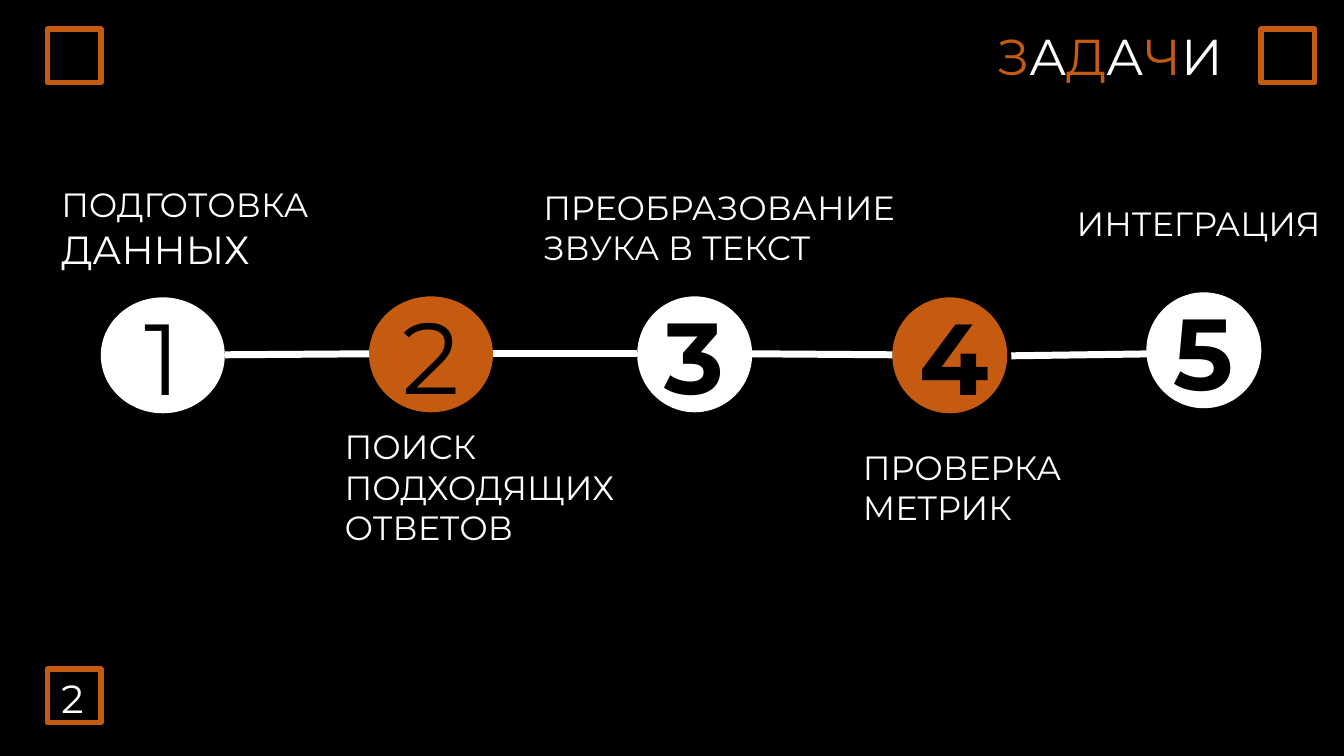
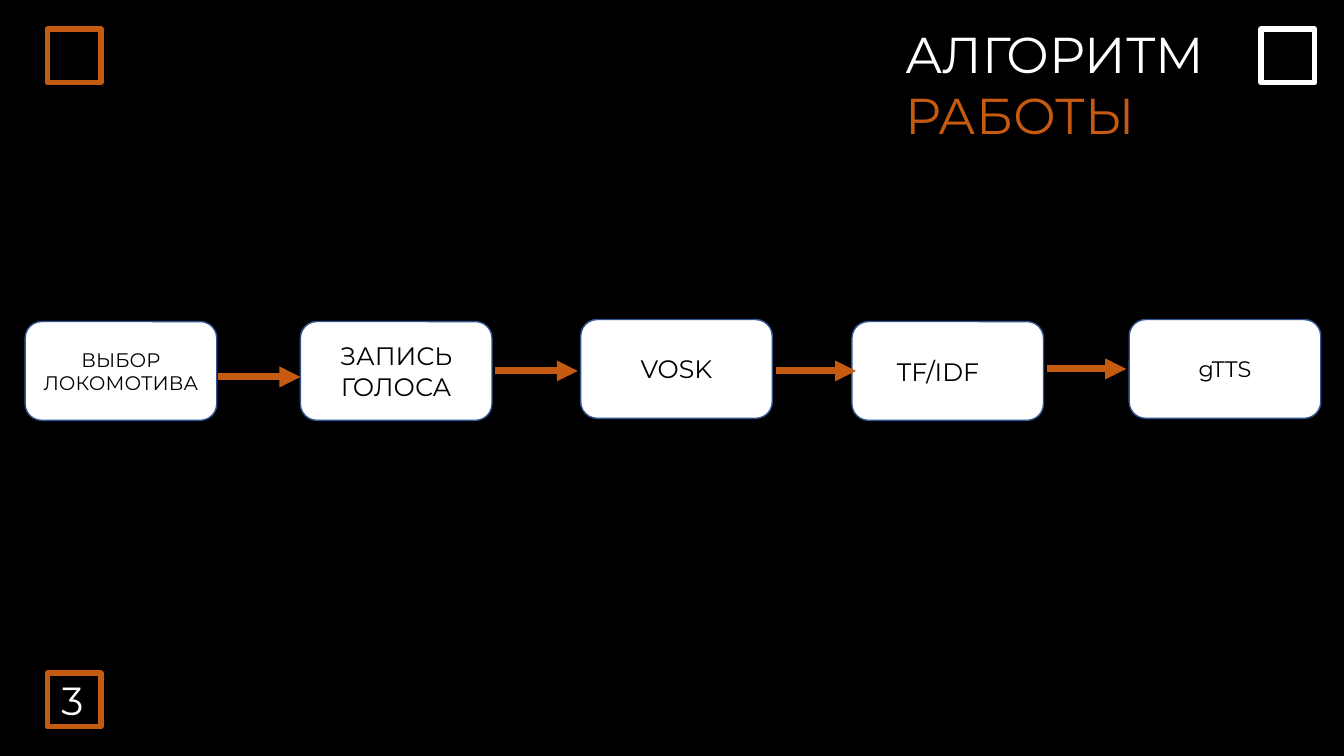
from pptx import Presentation
from pptx.dml.color import RGBColor
from pptx.enum.shapes import MSO_CONNECTOR, MSO_SHAPE
from pptx.enum.text import MSO_ANCHOR, MSO_AUTO_SIZE, PP_ALIGN
from pptx.oxml.ns import qn
from pptx.util import Pt
from lxml import etree

PX = 9144  # 100 px to the inch
SLIDE_WIDTH, SLIDE_HEIGHT = 1333, 750
TITLE_ONLY = 5

FONT = "Montserrat"
BLACK = RGBColor(0x00, 0x00, 0x00)
WHITE = RGBColor(0xFF, 0xFF, 0xFF)
ORANGE = RGBColor(0xC5, 0x5A, 0x11)
NAVY = RGBColor(0x32, 0x54, 0x91)

STRAIGHT = MSO_CONNECTOR.STRAIGHT
RECTANGLE = MSO_SHAPE.RECTANGLE
ROUNDED = MSO_SHAPE.ROUNDED_RECTANGLE
OVAL = MSO_SHAPE.OVAL
TOP, MIDDLE = MSO_ANCHOR.TOP, MSO_ANCHOR.MIDDLE
LEFT, CENTER = PP_ALIGN.LEFT, PP_ALIGN.CENTER
NO_AUTOFIT = MSO_AUTO_SIZE.NONE

# Tasks: number, circle (left, top, width), bold
CIRCLE_HEIGHT = 115
TASK_CIRCLES = [
    ("1", (100, 295, 123), False),
    ("2", (366, 294, 123), False),
    ("3", (632, 294, 114), True),
    ("4", (885, 295, 114), True),
    ("5", (1137, 290, 114), True),
]
TASK_LINKS = [
    (223, 352, 366, 351),
    (489, 351, 632, 351),
    (746, 351, 885, 352),
    (1003, 353, 1146, 351),
]
# Task labels: box, runs of (text, size)
TASK_LABELS = [
    ((51, 172, 336, 104), [("ПОДГОТОВКА", 24), (" ДАННЫХ", 28)]),
    ((332, 418, 300, 131), [("ПОИСК ПОДХОДЯЩИХ ОТВЕТОВ", 24)]),
    ((529, 180, 386, 91), [("ПРЕОБРАЗОВАНИЕ ЗВУКА В ТЕКСТ", 24)]),
    ((846, 438, 229, 91), [("ПРОВЕРКА МЕТРИК", 24)]),
    ((1058, 196, 272, 50), [("ИНТЕГРАЦИЯ", 24)]),
]

# Algorithm: lines, left, top, size, right inset
STAGE_WIDTH, STAGE_HEIGHT = 190, 98
STAGES = [
    (["ВЫБОР", "ЛОКОМОТИВА"], 25, 319, 14, 10),
    (["ЗАПИСЬ ГОЛОСА"], 298, 319, 18, 10),
    (["VOSK"], 576, 317, 18, 10),
    (["TF/IDF"], 845, 319, 18, 29),
    (["gTTS"], 1120, 317, 16, 10),
]
# Arrows: start, end, height on the slide
STAGE_ARROWS = [(216, 298, 374), (491, 573, 368), (770, 849, 368), (1038, 1117, 366)]


def px(*lengths):
    return [length * PX for length in lengths]


def style(paragraph, size, color, align=LEFT, bold=False):
    paragraph.alignment = align
    font = paragraph.font
    font.name, font.size, font.bold = FONT, Pt(size), bold
    font.color.rgb = color


def add_shape(slide, kind, box, fill=None, line=None, line_width=1):
    shape = slide.shapes.add_shape(kind, *px(*box))
    shape.shadow.inherit = False
    if fill is None:
        shape.fill.background()
    else:
        shape.fill.solid()
        shape.fill.fore_color.rgb = fill
    if line is None:
        shape.line.fill.background()
    else:
        shape.line.color.rgb = line
        shape.line.width = Pt(line_width)
    return shape


def write_centered(shape, lines, size, bold=False):
    frame = shape.text_frame
    frame.vertical_anchor = MIDDLE
    frame.text = "\n".join(lines)
    for paragraph in frame.paragraphs:
        style(paragraph, size, BLACK, CENTER, bold)


def add_label(slide, box, runs):
    frame = slide.shapes.add_textbox(*px(*box)).text_frame
    frame.word_wrap = True
    paragraph = frame.paragraphs[0]
    base_size = runs[0][1]
    style(paragraph, base_size, WHITE)
    for text, size in runs:
        run = paragraph.add_run()
        run.text = text
        if size != base_size:
            run.font.size = Pt(size)


def add_line(slide, ends, color, arrow=False):
    connector = slide.shapes.add_connector(STRAIGHT, *px(*ends))
    connector.line.color.rgb = color
    connector.line.width = Pt(5)
    if arrow:
        outline = connector.line._get_or_add_ln()
        etree.SubElement(outline, qn("a:tailEnd"), type="triangle")
    etree.SubElement(connector._element.spPr, qn("a:effectLst"))


def add_title(slide, box, runs):
    title = slide.shapes.title
    title.left, title.top, title.width, title.height = px(*box)
    frame = title.text_frame
    frame.word_wrap = True
    frame.auto_size = NO_AUTOFIT
    frame.vertical_anchor = TOP
    paragraph = frame.paragraphs[0]
    style(paragraph, 36, WHITE)
    for text, color in runs:
        run = paragraph.add_run()
        run.text = text
        run.font.color.rgb = color


def add_framed_slide(prs, number, number_top, square_top, corner_color):
    """Start a slide with its corner squares and its number."""
    slide = prs.slides.add_slide(prs.slide_layouts[TITLE_ONLY])
    for left, top, color in [
        (47, 29, ORANGE),
        (47, square_top, ORANGE),
        (1251, 29, corner_color),
    ]:
        add_shape(slide, RECTANGLE, (left, top, 53, 53), line=color, line_width=4)
    add_label(slide, (51, number_top, 46, 57), [(number, 28)])
    return slide


def build_tasks(prs):
    slide = add_framed_slide(prs, "2", 664, 664, ORANGE)
    letters = [(letter, WHITE if i % 2 else ORANGE) for i, letter in enumerate("ЗАДАЧИ")]
    add_title(slide, (979, 20, 272, 71), letters)

    # Numbered circles alternate in colour
    for i, (number, (left, top, width), bold) in enumerate(TASK_CIRCLES):
        fill = ORANGE if i % 2 else WHITE
        circle = add_shape(slide, OVAL, (left, top, width, CIRCLE_HEIGHT), fill)
        write_centered(circle, [number], 72, bold)
    for ends in TASK_LINKS:
        add_line(slide, ends, WHITE)
    for box, runs in TASK_LABELS:
        add_label(slide, box, runs)


def build_algorithm(prs):
    slide = add_framed_slide(prs, "3", 666, 668, WHITE)
    add_title(slide, (888, 18, 363, 131), [("АЛГОРИТМ", WHITE), (" РАБОТЫ", ORANGE)])

    # Stages and the arrows between them
    for lines, left, top, size, right_inset in STAGES:
        box = (left, top, STAGE_WIDTH, STAGE_HEIGHT)
        stage = add_shape(slide, ROUNDED, box, WHITE, NAVY)
        stage.text_frame.margin_right = right_inset * PX
        write_centered(stage, lines, size)
    for start, end, y in STAGE_ARROWS:
        add_line(slide, (start, y, end, y), ORANGE, arrow=True)


def main():
    prs = Presentation()
    prs.slide_width, prs.slide_height = px(SLIDE_WIDTH, SLIDE_HEIGHT)
    background = prs.slide_master.background.fill
    background.solid()
    background.fore_color.rgb = BLACK
    build_tasks(prs)
    build_algorithm(prs)
    prs.save("out.pptx")


if __name__ == "__main__":
    main()
